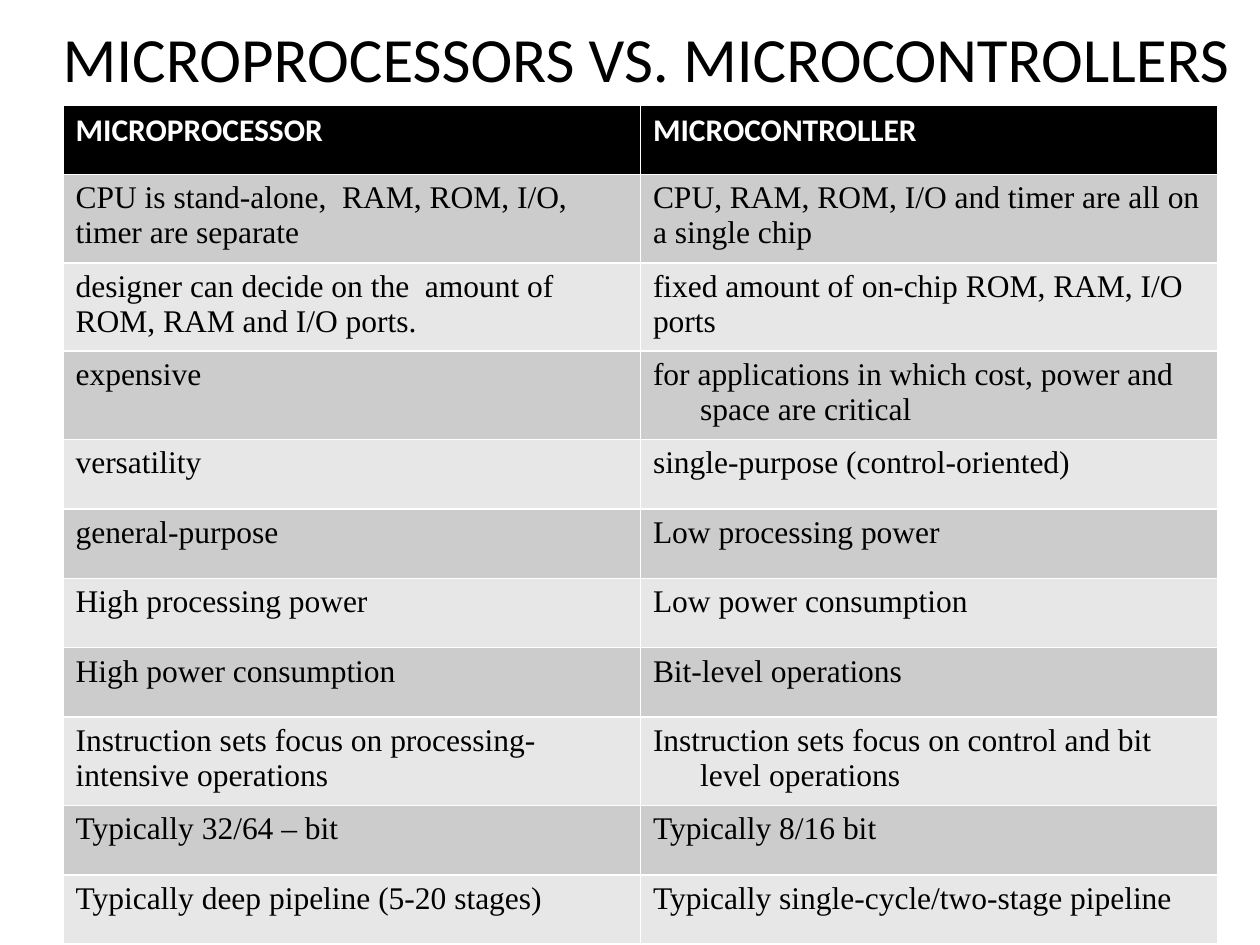
import pptx
import pptx.util
import pptx.dml.color
import pptx.enum.text

Cm, Pt = pptx.util.Cm, pptx.util.Pt

TITLE = "MICROPROCESSORS VS. MICROCONTROLLERS"
HEADS = ("MICROPROCESSOR", "MICROCONTROLLER")
ROWS = [
    ("CPU is stand-alone,  RAM, ROM, I/O, timer are separate",
     "CPU, RAM, ROM, I/O and timer are all on a single chip"),
    ("designer can decide on the  amount of ROM, RAM and I/O ports.",
     "fixed amount of on-chip ROM, RAM, I/O ports"),
    ("expensive",
     "for applications in which cost, power and space are critical"),
    ("versatility", "single-purpose (control-oriented)"),
    ("general-purpose", "Low processing power"),
    ("High processing power", "Low power consumption"),
    ("High power consumption", "Bit-level operations"),
    ("Instruction sets focus on processing-intensive operations",
     "Instruction sets focus on control and bit level operations"),
    ("Typically 32/64 \u2013 bit", "Typically 8/16 bit"),
    ("Typically deep pipeline (5-20 stages)",
     "Typically single-cycle/two-stage pipeline"),
]
TALL = {1, 2, 3, 8}
HANGING = range(3, 10)
BANDS = ("E7E7E7", "CCCCCC")


def color(code):
    """Turn a hex string into a colour."""
    return pptx.dml.color.RGBColor.from_string(code)


def style(para, face, size, code, bold=False):
    """Set the font of a paragraph."""
    font = para.font
    font.name, font.size, font.bold = face, Pt(size), bold
    font.color.rgb = color(code)


def hang(para):
    """Indent all lines of a paragraph but the first."""
    props = para._p.get_or_add_pPr()
    props.set("marL", str(Cm(0.95)))
    props.set("indent", str(-Cm(0.95)))


def add_title(slide):
    """Place and format the title."""
    title = slide.shapes.title
    title.left, title.top = Cm(0.64), Cm(0)
    title.width, title.height = Cm(24.77), Cm(2.33)
    frame = title.text_frame
    frame.text = TITLE
    frame.vertical_anchor = pptx.enum.text.MSO_ANCHOR.MIDDLE
    para = frame.paragraphs[0]
    para.alignment = pptx.enum.text.PP_ALIGN.CENTER
    style(para, "Calibri", 36, "000000")


def add_grid(slide):
    """Add the table that compares both kinds of chip."""
    lines = [HEADS] + ROWS
    grid = slide.shapes.add_table(len(lines), 2, Cm(1.27), Cm(2.12),
                                  Cm(23.28), Cm(16.92)).table
    for r, texts in enumerate(lines):
        grid.rows[r].height = Cm(1.78 if r in TALL else 1.4)
        for c, text in enumerate(texts):
            cell = grid.cell(r, c)
            cell.text = text
            cell.fill.solid()
            cell.fill.fore_color.rgb = color(BANDS[r % 2] if r else "000000")
            para = cell.text_frame.paragraphs[0]
            if r == 0:
                style(para, "Calibri", 18, "FFFFFF", True)
            else:
                style(para, "Times New Roman", 18, "000000")
            if c == 1 and r in HANGING:
                hang(para)


deck = pptx.Presentation()
deck.slide_width, deck.slide_height = Cm(25.4), Cm(19.05)
page = deck.slides.add_slide(deck.slide_layouts.get_by_name("Title Only"))
add_title(page)
add_grid(page)
deck.save("out.pptx")
